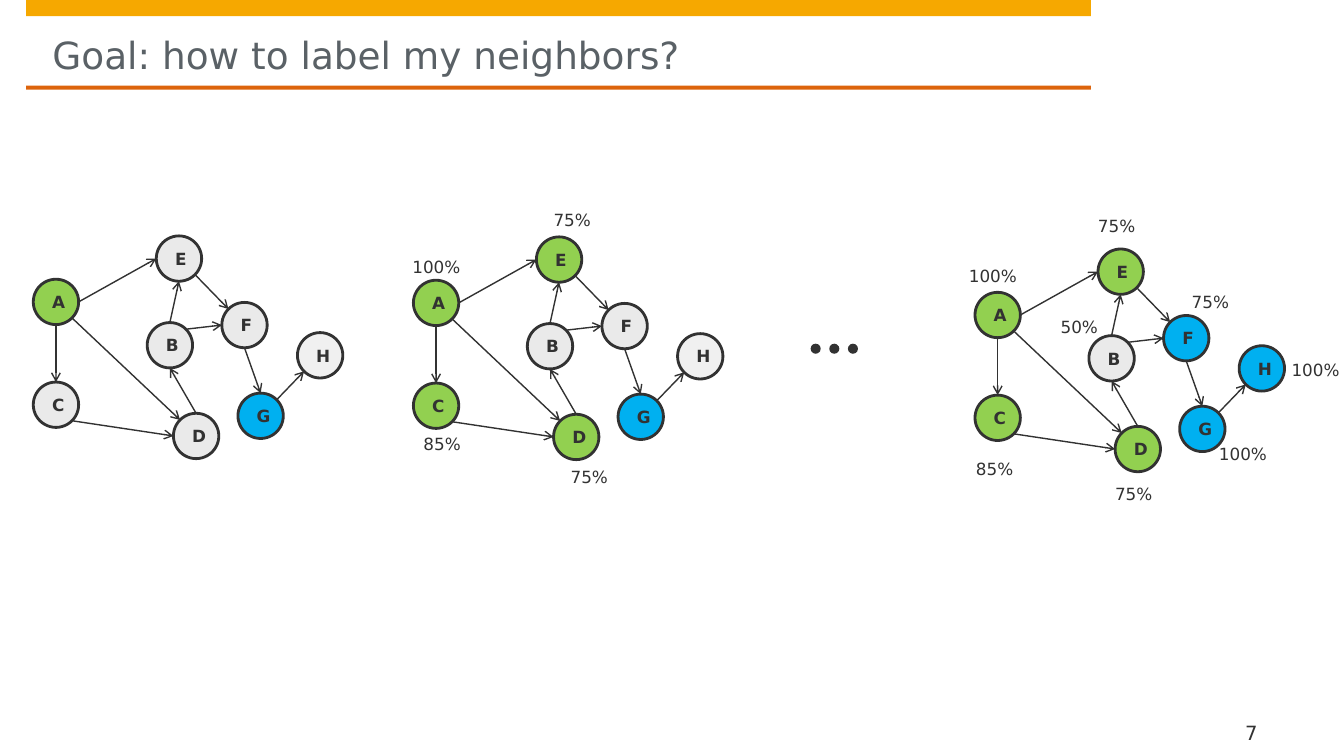
from math import cos, radians, sin

from lxml.etree import SubElement
from pptx import Presentation
from pptx.dml.color import RGBColor
from pptx.enum.shapes import MSO_CONNECTOR, MSO_SHAPE
from pptx.enum.text import MSO_ANCHOR, PP_ALIGN
from pptx.oxml.ns import qn
from pptx.util import Emu, Pt

PX = 9144  # 100 px to the inch
FONT = "DejaVu Sans"
AMBER = RGBColor(0xF6, 0xA8, 0x00)
ORANGE = RGBColor(0xDD, 0x64, 0x0C)
SLATE = RGBColor(0x5A, 0x61, 0x66)
INK = RGBColor(0x32, 0x32, 0x32)
GREEN = RGBColor(0x92, 0xD0, 0x50)
BLUE = RGBColor(0x00, 0xB0, 0xF0)
GRAY = RGBColor(0xEA, 0xEA, 0xEA)
PALE = RGBColor(0xF0, 0xF0, 0xF0)

NODE_SIZE = 45
NODES = {
    "A": (0, 43), "C": (0, 145), "B": (113, 86), "D": (139, 176),
    "E": (122, 0), "F": (187, 66), "G": (203, 156), "H": (262, 96),
}
# Each edge: from node, angle where it leaves, to node, angle where it arrives.
# Angles are in degrees, clockwise from the right.
EDGES = [
    ("A", 90, "C", 270), ("B", 270, "E", 90), ("B", 315, "F", 180),
    ("E", 45, "F", 225), ("C", 45, "D", 180), ("A", 45, "D", 225),
    ("G", 315, "H", 135), ("A", 0, "E", 180), ("D", 270, "B", 90),
    ("F", 90, "G", 270),
]
# Each graph: left, top, node colours, labels with their offsets.
GRAPHS = [
    (33, 234, {"A": GREEN, "G": BLUE, "H": PALE}, []),
    (967, 247, {**dict.fromkeys("ACDE", GREEN), **dict.fromkeys("FGH", BLUE)}, [
        ("75%", 122, -33), ("100%", -6, 17), ("85%", 1, 208), ("75%", 139, 233),
        ("50%", 85, 67), ("75%", 215, 42), ("100%", 242, 193), ("100%", 314, 110),
    ]),
    (410, 235, {**dict.fromkeys("ACDE", GREEN), "G": BLUE, "H": PALE}, [
        ("75%", 139, -27), ("85%", 10, 195), ("75%", 156, 228), ("100%", -1, 20),
    ]),
]


def px(*lengths):
    return [Emu(round(length * PX)) for length in lengths]


def write(shape, text, size, color, insets=(0, 0, 0, 0), space=0, bold=False,
          align=PP_ALIGN.LEFT, anchor=MSO_ANCHOR.TOP):
    frame = shape.text_frame
    left, top, right, bottom = px(*insets)
    frame_format = {
        "word_wrap": True, "vertical_anchor": anchor, "margin_left": left,
        "margin_top": top, "margin_right": right, "margin_bottom": bottom,
    }
    paragraph = frame.paragraphs[0]
    paragraph_format = {
        "alignment": align, "space_before": Pt(space), "space_after": Pt(space),
    }
    run = paragraph.add_run()
    run.text = text
    font_format = {"name": FONT, "size": Pt(size), "bold": bold}
    for target, values in ((frame, frame_format), (paragraph, paragraph_format),
                           (run.font, font_format)):
        for name, value in values.items():
            setattr(target, name, value)
    run.font.color.rgb = color


def add_text(slide, box, text, size, color, **text_format):
    write(slide.shapes.add_textbox(*px(*box)), text, size, color, **text_format)


def add_solid(slide, kind, box, fill):
    shape = slide.shapes.add_shape(kind, *px(*box))
    shape.shadow.inherit = False
    shape.fill.solid()
    shape.fill.fore_color.rgb = fill
    shape.line.fill.background()
    return shape


def add_node(slide, left, top, letter, fill):
    node = add_solid(slide, MSO_SHAPE.OVAL, (left, top, NODE_SIZE, NODE_SIZE), fill)
    node.line.color.rgb = INK
    node.line.width = Pt(2)
    write(node, letter, 12, INK, insets=(12, 8, 12, 8), space=3, bold=True,
          align=PP_ALIGN.CENTER, anchor=MSO_ANCHOR.MIDDLE)


def add_arrow(slide, start, end):
    arrow = slide.shapes.add_connector(MSO_CONNECTOR.STRAIGHT, *px(*start, *end))
    arrow.line.color.rgb = INK
    arrow.line.width = Pt(1)
    SubElement(arrow.line._get_or_add_ln(), qn("a:tailEnd"), type="arrow")
    SubElement(arrow._element.spPr, qn("a:effectLst"))


def rim_point(left, top, letter, angle):
    """Point on the rim of a node, for a graph placed at left, top."""
    node_left, node_top = NODES[letter]
    radius = NODE_SIZE / 2
    return (left + node_left + radius + radius * cos(radians(angle)),
            top + node_top + radius + radius * sin(radians(angle)))


def add_graph(slide, left, top, colors, labels):
    for letter, (x, y) in NODES.items():
        add_node(slide, left + x, top + y, letter, colors.get(letter, GRAY))
    for source, leaving, target, arriving in EDGES:
        add_arrow(slide, rim_point(left, top, source, leaving),
                  rim_point(left, top, target, arriving))
    for text, x, y in labels:
        add_text(slide, (left + x, top + y, 53, 31), text, 12, INK, space=3)


def add_header(slide, left, top, width):
    add_solid(slide, MSO_SHAPE.RECTANGLE, (left, top, width, 16), AMBER)
    add_solid(slide, MSO_SHAPE.RECTANGLE, (left, top + 85, width, 4), ORANGE)
    add_text(slide, (left + 26, top + 16, width - 53, 61),
             "Goal: how to label my neighbors?", 26.7, SLATE, insets=(0, 16, 0, 0))


def add_ellipsis(slide, left, top, size, pitch):
    for index in range(3):
        add_solid(slide, MSO_SHAPE.OVAL,
                  (left + index * pitch, top, size, size), INK)


def main():
    presentation = Presentation()
    presentation.slide_width, presentation.slide_height = px(1333, 750)
    slide = presentation.slides.add_slide(presentation.slide_layouts[6])
    add_header(slide, 26, 0, 1056)
    for graph in GRAPHS:
        add_graph(slide, *graph)
    add_ellipsis(slide, 804, 341, 10, 18.5)
    add_text(slide, (1223, 709, 84, 29), "7", 14, INK, insets=(12, 0, 0, 0),
             anchor=MSO_ANCHOR.BOTTOM)
    presentation.save("out.pptx")


if __name__ == "__main__":
    main()
